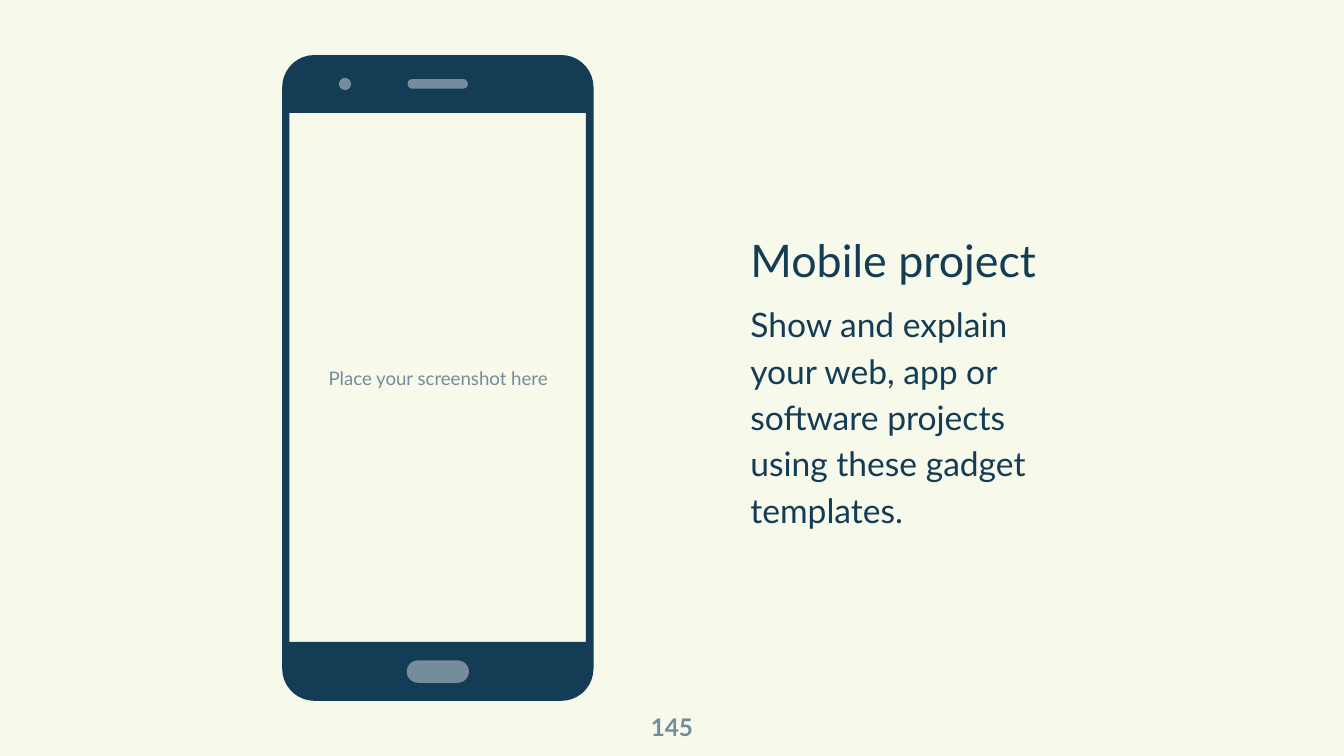
from math import cos, radians, sin

from pptx import Presentation
from pptx.dml.color import RGBColor
from pptx.enum.shapes import MSO_SHAPE
from pptx.enum.text import MSO_ANCHOR, PP_ALIGN
from pptx.util import Pt

CREAM = RGBColor(0xF7, 0xF9, 0xEA)
NAVY = RGBColor(0x14, 0x3C, 0x55)
GRAY = RGBColor(0x74, 0x8C, 0x9C)
LEFT, CENTER = PP_ALIGN.LEFT, PP_ALIGN.CENTER
MIDDLE = MSO_ANCHOR.MIDDLE
ROUNDED, OVAL = MSO_SHAPE.ROUNDED_RECTANGLE, MSO_SHAPE.OVAL


def paint(shape, color):
    shape.shadow.inherit = False
    shape.fill.solid()
    shape.fill.fore_color.rgb = color
    shape.line.fill.background()


def add_text(slide, box, margin, alignment, color, lines, paragraph_format):
    """Each line is a text with its font values."""
    frame = slide.shapes.add_textbox(*map(Pt, box)).text_frame
    frame.word_wrap = True
    frame.vertical_anchor = MIDDLE
    for side in ("left", "top", "right", "bottom"):
        setattr(frame, f"margin_{side}", Pt(margin))
    for index, (text, font_values) in enumerate(lines):
        paragraph = frame.add_paragraph() if index else frame.paragraphs[0]
        paragraph.alignment = alignment
        for name, value in paragraph_format.items():
            if index or name != "space_before":
                setattr(paragraph, name, value)
        run = paragraph.add_run()
        run.text = text
        run.font.name = "Lato"
        run.font.color.rgb = color
        for name, value in font_values.items():
            setattr(run.font, name, value)


presentation = Presentation()
presentation.slide_width = Pt(720)
presentation.slide_height = Pt(405)
slide = presentation.slides.add_slide(presentation.slide_layouts[6])
slide.background.fill.solid()
slide.background.fill.fore_color.rgb = CREAM

# Screen caption and page number
add_text(slide, (155.5, 62, 158.4, 281.5), 7.2, CENTER, GRAY,
         [("Place your screenshot here", {"size": Pt(10)})], {})
add_text(slide, (338.4, 374, 43.2, 31), 0, CENTER, GRAY,
         [("145", {"size": Pt(13), "bold": True})], {})

# Phone body: rounded outline with the screen cut out
left, top, right, bottom, radius = 151.2, 29.5, 318, 375.5, 17.3
corners = [(right - radius, top + radius, -90), (right - radius, bottom - radius, 0),
           (left + radius, bottom - radius, 90), (left + radius, top + radius, 180)]
outline = [(Pt(x + radius * cos(radians(start + step))),
            Pt(y + radius * sin(radians(start + step))))
           for x, y, start in corners for step in range(0, 91, 10)]
screen = [(Pt(x), Pt(y)) for x, y in
          [(313.9, 60.5), (313.9, 343.9), (155.1, 343.9), (155.1, 60.5)]]
builder = slide.shapes.build_freeform(*screen[0], scale=1.0)
builder.add_line_segments(screen[1:], close=True)
builder.move_to(*outline[0])
builder.add_line_segments(outline[1:], close=True)
paint(builder.convert_to_shape(), NAVY)

# Home button, camera and speaker
for kind, box, rounding in [(ROUNDED, (217.9, 353.8, 33.3, 12), 0.5),
                            (OVAL, (181.5, 41.7, 6.6, 6.6), None),
                            (ROUNDED, (218.4, 42.4, 32.2, 5.1), 0.45)]:
    shape = slide.shapes.add_shape(kind, *map(Pt, box))
    if rounding:
        shape.adjustments[0] = rounding
    paint(shape, GRAY)

# Project description
add_text(slide, (402, 69, 170.6, 266.5), 0, LEFT, NAVY,
         [("Mobile project", {"size": Pt(24)}),
          ("Show and explain your web, app or software projects "
           "using these gadget templates.", {"size": Pt(18)})],
         {"line_spacing": 1.15, "space_before": Pt(6)})

presentation.save("out.pptx")
